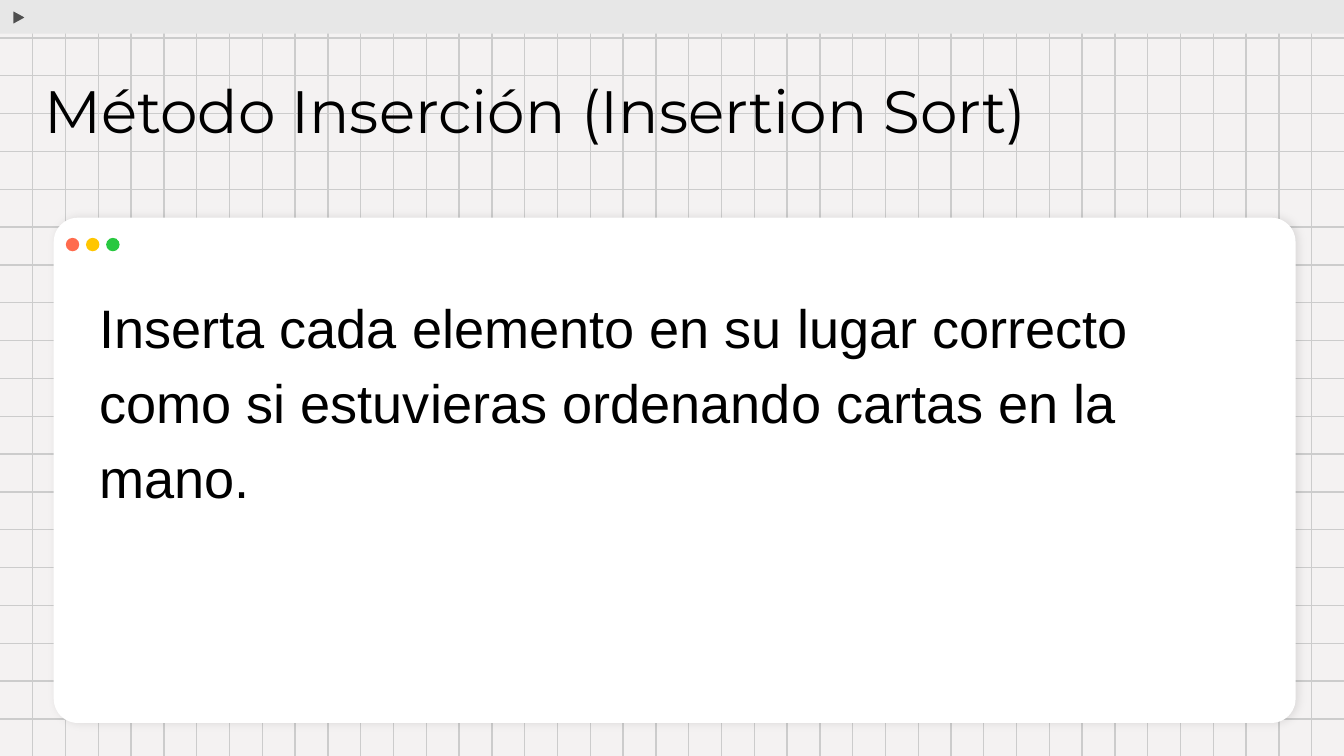
from lxml import etree
from pptx import Presentation
from pptx.dml.color import RGBColor
from pptx.enum.shapes import MSO_CONNECTOR as Connector, MSO_SHAPE as Shape
from pptx.enum.text import MSO_ANCHOR as Anchor, MSO_AUTO_SIZE as AutoSize
from pptx.oxml.ns import qn
from pptx.util import Inches, Pt

TITLE = "Método Inserción (Insertion Sort)"
BODY = "Inserta cada elemento en su lugar correcto como si estuvieras ordenando cartas en la mano."

THEME = {
    "background": "F4F2F2",
    "grid": "CCCCCC",
    "bar": "E7E7E7",
    "arrow": "4F4F4F",
    "window": "FFFFFF",
    "text": "000000",
    "shadow": "000000",
    "buttons": ("FF6B4D", "FFC600", "28C840"),
    "title_font": "Montserrat",
    "body_font": "Arial",
    "title_size": 32,
    "body_size": 29,
    "line_width": 0.75,
}

WIDTH, HEIGHT = 10, 5.625
ROWS, LAST_ROW = 19, 5.35
COLUMNS, LAST_COLUMN = 40, 9.76
BUTTON_LEFT, BUTTON_TOP, BUTTON_SIZE, BUTTON_STEP = 0.49, 1.77, 0.1, 0.15


def color(name):
    return RGBColor.from_string(name)


def add_grid_line(slide, start, end):
    line = slide.shapes.add_connector(
        Connector.STRAIGHT, *(Inches(value) for value in (*start, *end))
    )
    line.line.color.rgb = color(THEME["grid"])
    line.line.width = Pt(THEME["line_width"])
    etree.SubElement(line._element.spPr, qn("a:effectLst"))


def add_grid(slide):
    for row in range(ROWS, 0, -1):
        y = LAST_ROW * row / ROWS
        add_grid_line(slide, (0, y), (WIDTH, y))
    for column in range(COLUMNS, 0, -1):
        x = LAST_COLUMN * column / COLUMNS
        add_grid_line(slide, (x, 0), (x, HEIGHT))


def add_filled(slide, kind, box, fill, outline=None):
    shape = slide.shapes.add_shape(kind, *(Inches(value) for value in box))
    shape.shadow.inherit = False
    shape.fill.solid()
    shape.fill.fore_color.rgb = color(fill)
    if outline:
        shape.line.color.rgb = color(outline)
        shape.line.width = Pt(THEME["line_width"])
    else:
        shape.line.fill.background()
    return shape


def add_soft_shadow(shape):
    effects = shape._element.spPr.find(qn("a:effectLst"))
    shadow = etree.SubElement(
        effects, qn("a:outerShdw"), blurRad=str(Pt(4.5)), dist=str(Pt(1.5)),
        dir="0", algn="bl", rotWithShape="0",
    )
    tint = etree.SubElement(shadow, qn("a:srgbClr"), val=THEME["shadow"])
    etree.SubElement(tint, qn("a:alpha"), val="10000")


def add_text(slide, text, *, box, font, size, line_spacing, space=0):
    text_box = slide.shapes.add_textbox(*(Inches(value) for value in box))
    frame = text_box.text_frame
    frame.word_wrap = True
    frame.auto_size = AutoSize.SHAPE_TO_FIT_TEXT
    frame.vertical_anchor = Anchor.TOP
    frame.margin_left = frame.margin_right = Inches(0.1)
    frame.margin_top = frame.margin_bottom = Inches(0.1)
    paragraph = frame.paragraphs[0]
    paragraph.line_spacing = line_spacing
    paragraph.space_before = paragraph.space_after = Pt(space)
    run = paragraph.add_run()
    run.text = text
    run.font.name = font
    run.font.size = Pt(size)
    run.font.color.rgb = color(THEME["text"])


def main():
    presentation = Presentation()
    presentation.slide_width = Inches(WIDTH)
    presentation.slide_height = Inches(HEIGHT)
    slide = presentation.slides.add_slide(presentation.slide_layouts[6])
    slide.background.fill.solid()
    slide.background.fill.fore_color.rgb = color(THEME["background"])

    add_grid(slide)
    add_filled(slide, Shape.RECTANGLE, (0, 0, WIDTH, 0.25), THEME["bar"])
    arrow = add_filled(
        slide, Shape.ISOSCELES_TRIANGLE, (0.09, 0.08, 0.11, 0.1), THEME["arrow"], THEME["bar"]
    )
    arrow.rotation = 90

    window = add_filled(slide, Shape.ROUNDED_RECTANGLE, (0.4, 1.62, 9.24, 3.76), THEME["window"])
    window.adjustments[0] = 0.048
    add_soft_shadow(window)
    for index, fill in enumerate(THEME["buttons"]):
        left = BUTTON_LEFT + index * BUTTON_STEP
        add_filled(slide, Shape.OVAL, (left, BUTTON_TOP, BUTTON_SIZE, BUTTON_SIZE), fill)

    add_text(
        slide, BODY, box=(0.64, 2.02, 8.73, 1.81), font=THEME["body_font"],
        size=THEME["body_size"], line_spacing=1.15, space=12,
    )
    add_text(
        slide, TITLE, box=(0.23, 0.51, 9.14, 0.69), font=THEME["title_font"],
        size=THEME["title_size"], line_spacing=0.9,
    )
    presentation.save("out.pptx")


if __name__ == "__main__":
    main()
